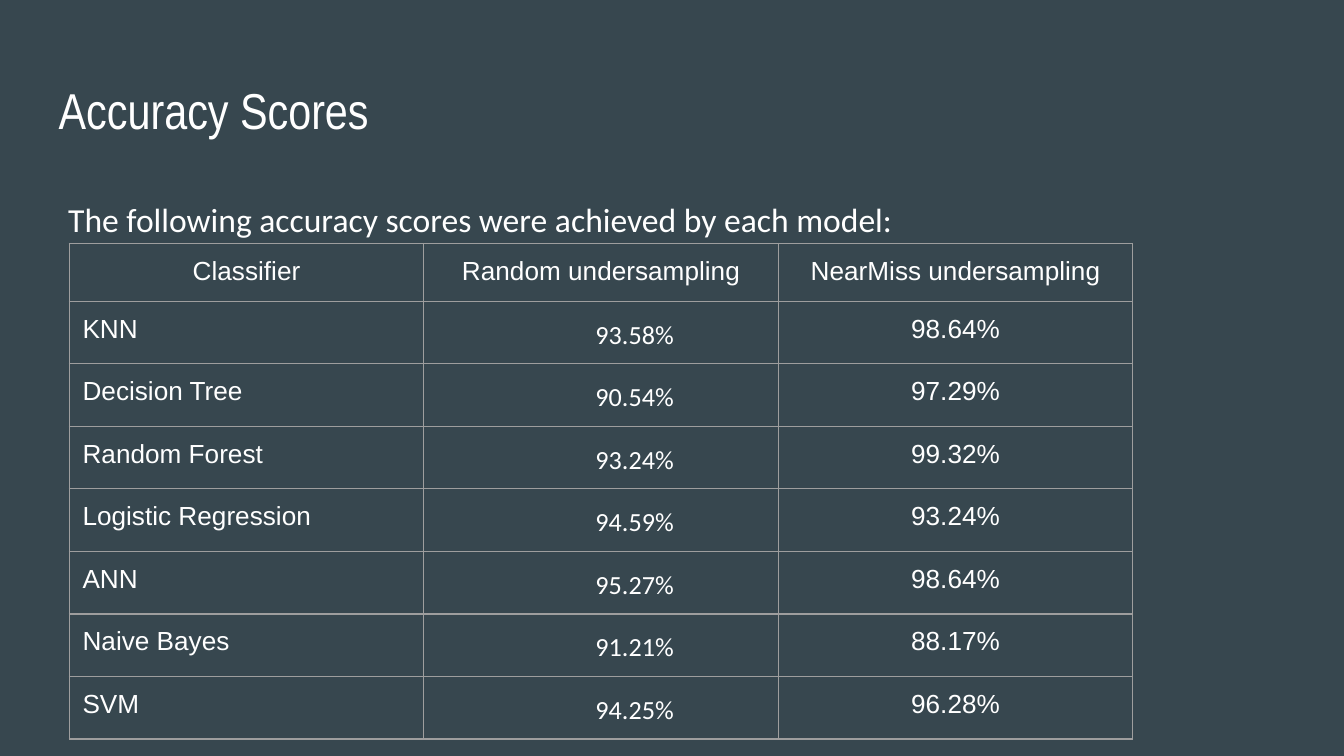
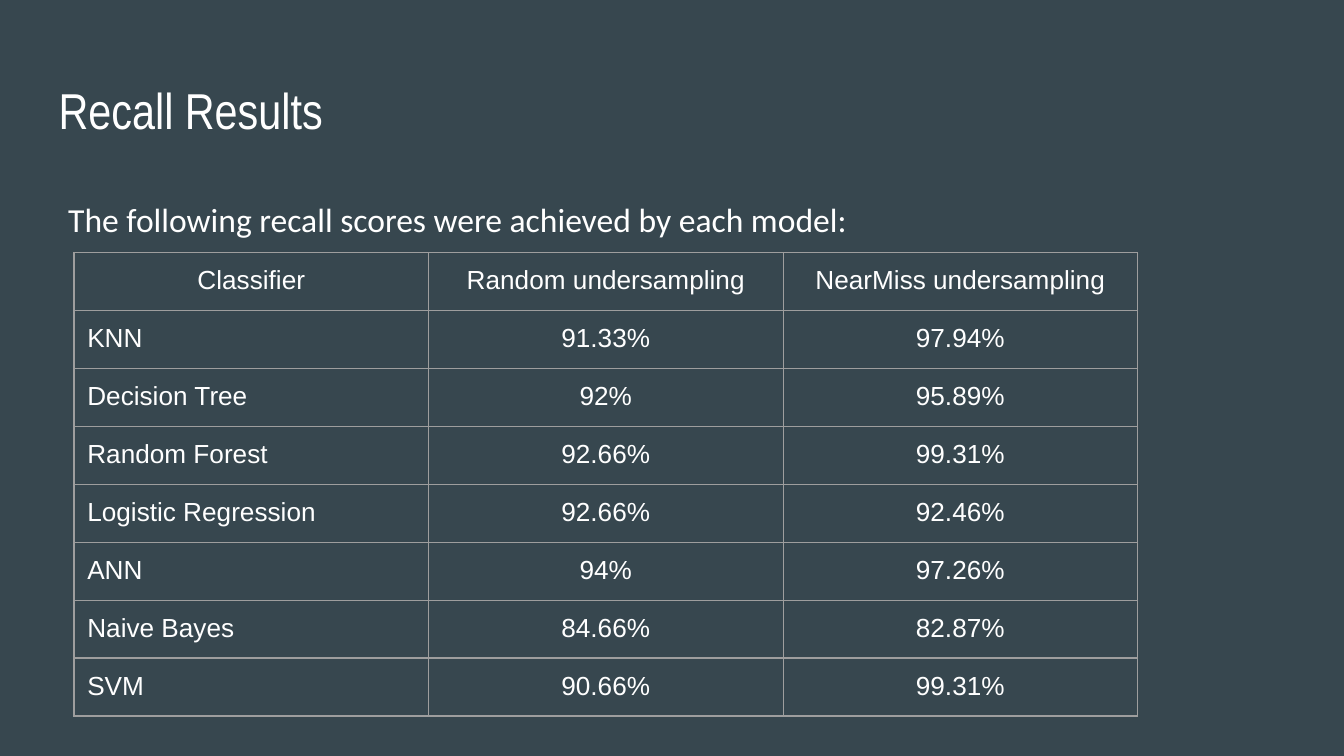
from dataclasses import dataclass

from lxml.etree import SubElement
from pptx import Presentation
from pptx.dml.color import RGBColor
from pptx.enum.text import MSO_ANCHOR as Anchor, PP_ALIGN as Align
from pptx.oxml.ns import qn
from pptx.util import Cm, Pt

SLATE = RGBColor(0x37, 0x47, 0x4F)
WHITE = RGBColor(0xFF, 0xFF, 0xFF)
GREY = RGBColor(0x9E, 0x9E, 0x9E)

TITLE_FONT = "Arial Narrow"
BODY_FONT = "Calibri"
TABLE_FONT = "Arial"

INSET = Cm(0.25)
COLUMN_WIDTH = Cm(6.7)
ROW_HEIGHT = Cm(1.06)
BORDER_WIDTH = Pt(0.75)

HEADER = ("Classifier", "Random undersampling", "NearMiss undersampling")
CLASSIFIERS = (
    "KNN", "Decision Tree", "Random Forest", "Logistic Regression",
    "ANN", "Naive Bayes", "SVM",
)
SPACED = dict(line_spacing=1.15, space_after=Pt(12))
NAME_STYLE = dict(font=TABLE_FONT, size=14)
SCORE_STYLE = dict(NAME_STYLE, align=Align.CENTER)
INDENTED_STYLE = dict(SCORE_STYLE, font=BODY_FONT, indent=Cm(1.27), **SPACED)


@dataclass
class Box:
    left: int
    top: int
    width: int
    height: int


def table_box(left, top):
    return Box(left, top, COLUMN_WIDTH * len(HEADER), ROW_HEIGHT * (len(CLASSIFIERS) + 1))


TITLE_BOX = Box(Cm(0.86), Cm(1.24), Cm(23.67), Cm(1.6))
INTRO_BOX = Box(Cm(1.04), Cm(3.4), Cm(23.67), Cm(1.4))


def write_text(frame, text, font, size, color=WHITE, align=Align.LEFT,
               indent=0, line_spacing=None, space_after=None):
    paragraph = frame.paragraphs[0]
    paragraph.alignment = align
    paragraph.line_spacing = line_spacing
    paragraph.space_after = space_after
    if indent:
        paragraph._p.get_or_add_pPr().set("marL", str(indent))
    run = paragraph.add_run()
    run.text = text
    run.font.name = font
    run.font.size = Pt(size)
    run.font.bold = False
    run.font.color.rgb = color


def add_text_box(slide, box, text, **style):
    shape = slide.shapes.add_textbox(box.left, box.top, box.width, box.height)
    frame = shape.text_frame
    frame.word_wrap = True
    frame.vertical_anchor = Anchor.TOP
    frame.margin_left = frame.margin_right = INSET
    frame.margin_top = frame.margin_bottom = INSET
    write_text(frame, text, **style)


def add_borders(cell):
    properties = cell._tc.get_or_add_tcPr()
    for side in ("a:lnL", "a:lnR", "a:lnT", "a:lnB"):
        line = SubElement(properties, qn(side), w=str(BORDER_WIDTH))
        fill = SubElement(line, qn("a:solidFill"))
        SubElement(fill, qn("a:srgbClr"), val=str(GREY))


def fill_cell(cell, text, style):
    cell.margin_left = cell.margin_right = INSET
    cell.margin_top = cell.margin_bottom = INSET
    cell.vertical_anchor = Anchor.TOP
    add_borders(cell)
    cell.fill.background()
    write_text(cell.text_frame, text, **style)


def add_score_table(slide, box, random_scores, nearmiss_scores, random_style):
    rows = [HEADER, *zip(CLASSIFIERS, random_scores, nearmiss_scores)]
    table = slide.shapes.add_table(
        len(rows), len(HEADER), box.left, box.top, box.width, box.height
    ).table
    table.first_row = False
    table.horz_banding = False
    for column in table.columns:
        column.width = box.width // len(HEADER)
    for row in table.rows:
        row.height = box.height // len(rows)
    row_styles = (NAME_STYLE, random_style, SCORE_STYLE)
    for row_index, texts in enumerate(rows):
        styles = row_styles if row_index else (SCORE_STYLE,) * len(HEADER)
        for column_index, (text, style) in enumerate(zip(texts, styles)):
            fill_cell(table.cell(row_index, column_index), text, style)


def add_score_slide(presentation, title, intro, box, random_scores,
                    nearmiss_scores, random_style=SCORE_STYLE):
    slide = presentation.slides.add_slide(presentation.slide_layouts[6])
    slide.background.fill.solid()
    slide.background.fill.fore_color.rgb = SLATE
    add_text_box(slide, TITLE_BOX, title, font=TITLE_FONT, size=27)
    add_score_table(slide, box, random_scores, nearmiss_scores, random_style)
    add_text_box(slide, INTRO_BOX, intro, font=BODY_FONT, size=18, **SPACED)


def main():
    presentation = Presentation()
    presentation.slide_width = Cm(25.4)
    presentation.slide_height = Cm(14.29)
    add_score_slide(
        presentation,
        "Accuracy Scores",
        "The following accuracy scores were achieved by each model:",
        table_box(Cm(1.31), Cm(4.6)),
        ("93.58%", "90.54%", "93.24%", "94.59%", "95.27%", "91.21%", "94.25%"),
        ("98.64%", "97.29%", "99.32%", "93.24%", "98.64%", "88.17%", "96.28%"),
        random_style=INDENTED_STYLE,
    )
    add_score_slide(
        presentation,
        "Recall Results",
        "The following recall scores were achieved by each model:",
        table_box(Cm(1.4), Cm(4.78)),
        ("91.33%", "92%", "92.66%", "92.66%", "94%", "84.66%", "90.66%"),
        ("97.94%", "95.89%", "99.31%", "92.46%", "97.26%", "82.87%", "99.31%"),
    )
    presentation.save("out.pptx")


if __name__ == "__main__":
    main()
